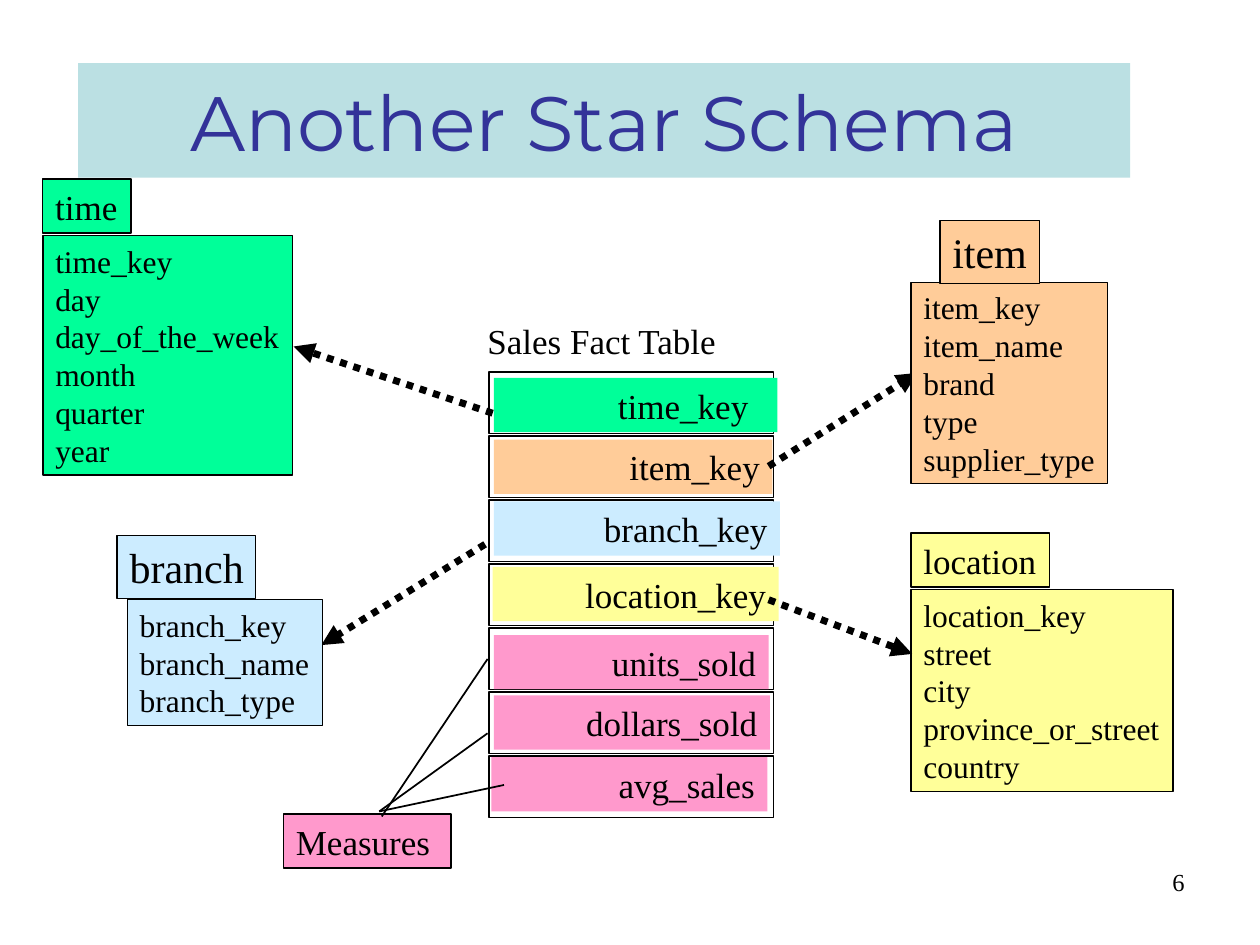
from dataclasses import dataclass

from pptx import Presentation
from pptx.dml.color import RGBColor
from pptx.enum.dml import MSO_LINE
from pptx.enum.shapes import MSO_CONNECTOR, MSO_SHAPE
from pptx.enum.text import MSO_ANCHOR, PP_ALIGN
from pptx.oxml.ns import qn
from pptx.util import Inches, Pt
from lxml import etree

RECT, LINE = MSO_SHAPE.RECTANGLE, MSO_CONNECTOR.STRAIGHT
LEFT, MID, RIGHT = PP_ALIGN.LEFT, PP_ALIGN.CENTER, PP_ALIGN.RIGHT
TOP, CENTER = MSO_ANCHOR.TOP, MSO_ANCHOR.MIDDLE
DOTS = MSO_LINE.ROUND_DOT


@dataclass(frozen=True)
class Theme:
    ink: str = "000000"
    navy: str = "333399"
    teal: str = "BBE0E3"
    green: str = "00FF99"
    peach: str = "FFCC99"
    sky: str = "CCECFF"
    lemon: str = "FFFF99"
    pink: str = "FF99CC"
    serif: str = "Times New Roman"
    sans: str = "Montserrat"
    title: int = 44
    large: int = 24
    head: int = 20
    body: int = 18
    small: int = 14


class Board:
    """A slide on a grid of 100 columns by 75 rows."""

    def __init__(self, deck, theme):
        self.slide = deck.slides.add_slide(deck.slide_layouts[6])
        self.theme = theme
        self.col = deck.slide_width / 100
        self.row = deck.slide_height / 75

    def spot(self, x, y):
        return round(x * self.col), round(y * self.row)

    def box(self, x, y, w, h, fill=None, edge=0):
        shape = self.slide.shapes.add_shape(RECT, *self.spot(x, y), *self.spot(w, h))
        shape.shadow.inherit = False
        if fill:
            shape.fill.solid()
            shape.fill.fore_color.rgb = RGBColor.from_string(fill)
        else:
            shape.fill.background()
        if edge:
            shape.line.color.rgb = RGBColor.from_string(self.theme.ink)
            shape.line.width = Pt(edge)
        else:
            shape.line.fill.background()
        return shape

    def label(self, shape, text, size, align=LEFT, pad=0, anchor=TOP, font=None, ink=None):
        """Write text into a shape; pad is its right inset in columns."""
        frame = shape.text_frame
        frame.text = text
        frame.word_wrap = True
        frame.vertical_anchor = anchor
        frame.margin_left = self.spot(1, 0)[0]
        frame.margin_right = self.spot(pad, 0)[0]
        frame.margin_top = frame.margin_bottom = self.spot(0, 0.5)[1]
        for para in frame.paragraphs:
            para.alignment = align
            para.font.size = Pt(size)
            para.font.name = font or self.theme.serif
            para.font.color.rgb = RGBColor.from_string(ink or self.theme.ink)

    def text(self, x, y, w, h, text, size, align=LEFT, pad=0):
        shape = self.slide.shapes.add_textbox(*self.spot(x, y), *self.spot(w, h))
        self.label(shape, text, size, align, pad)

    def table(self, name, size, head, fields, body, fill):
        """Draw a dimension table: its fields, then its name box."""
        self.label(self.box(*body, fill, 0.75), "\n".join(fields), self.theme.body)
        self.label(self.box(*head, fill, 0.75), name, size)

    def line(self, start, end, width=1, arrow=False):
        link = self.slide.shapes.add_connector(LINE, *self.spot(*start), *self.spot(*end))
        link.line.color.rgb = RGBColor.from_string(self.theme.ink)
        link.line.width = Pt(width)
        if arrow:
            link.line.dash_style = DOTS
            etree.SubElement(link.line._get_or_add_ln(), qn("a:tailEnd"), type="triangle")
        etree.SubElement(link._element.spPr, qn("a:effectLst"))


def main():
    deck = Presentation()
    deck.slide_width, deck.slide_height = Inches(10), Inches(7.5)
    look = Theme()
    board = Board(deck, look)

    board.text(71.7, 68.3, 23.3, 5.2, "6", look.small, RIGHT, 1)
    banner = board.box(6.2, 5, 83.5, 9.1, look.teal)
    board.label(banner, "Another Star Schema", look.title, MID, 1, CENTER, look.sans, look.navy)

    board.table("time", look.head, (3.4, 14.2, 7, 4.3),
                ["time_key", "day", "day_of_the_week", "month", "quarter", "year"],
                (3.4, 18.7, 19.8, 19), look.green)
    board.table("location", look.head, (72.3, 42.3, 11, 4.3),
                ["location_key", "street", "city", "province_or_street", "country"],
                (72.3, 46.8, 20.8, 16), look.lemon)

    board.text(37.7, 24.9, 20.4, 4.3, "Sales Fact Table", look.head)
    facts = [  # name, fill, left, top, width, right inset
        ("time_key", look.green, 39.2, 30, 22.5, 2.3),
        ("item_key", look.peach, 39.2, 34.9, 22.1, 1),
        ("branch_key", look.sky, 39.2, 39.8, 22.7, 1),
        ("location_key", look.lemon, 39.1, 45, 22.7, 1),
        ("units_sold", look.pink, 39.2, 50.4, 21.8, 1),
        ("dollars_sold", look.pink, 39.2, 55.2, 21.9, 1),
        ("avg_sales", look.pink, 39, 60.1, 21.9, 1),
    ]
    for i, (name, fill, x, y, w, pad) in enumerate(facts):
        board.box(38.8, 29.5 + 5.08 * i, 22.6, 4.9, edge=1)
        board.label(board.box(x, y, w, 4.3, fill), name, look.head, RIGHT, pad)

    board.label(board.box(22.5, 64.6, 13.3, 4.3, look.pink, 0.75), "Measures", look.head)
    for start, end in [((30.3, 64.8), (38.7, 52.3)),
                       ((30.1, 64.4), (38.7, 58.2)),
                       ((30.1, 64.4), (40, 62.3))]:
        board.line(start, end)
    for start, end in [((38.5, 43.2), (25.5, 51.2)),
                       ((39.1, 32.8), (23.3, 27.5)),
                       ((61, 47.6), (72.4, 51.9)),
                       ((61, 37), (72.8, 29.6))]:
        board.line(start, end, 4, True)

    board.table("item", look.large, (74.6, 17.5, 7.9, 5),
                ["item_key", "item_name", "brand", "type", "supplier_type"],
                (72.3, 22.4, 15.6, 16), look.peach)
    board.table("branch", look.large, (9.3, 42.5, 11, 5),
                ["branch_key", "branch_name", "branch_type"],
                (10.1, 47.6, 15.5, 10), look.sky)

    deck.save("out.pptx")


if __name__ == "__main__":
    main()
